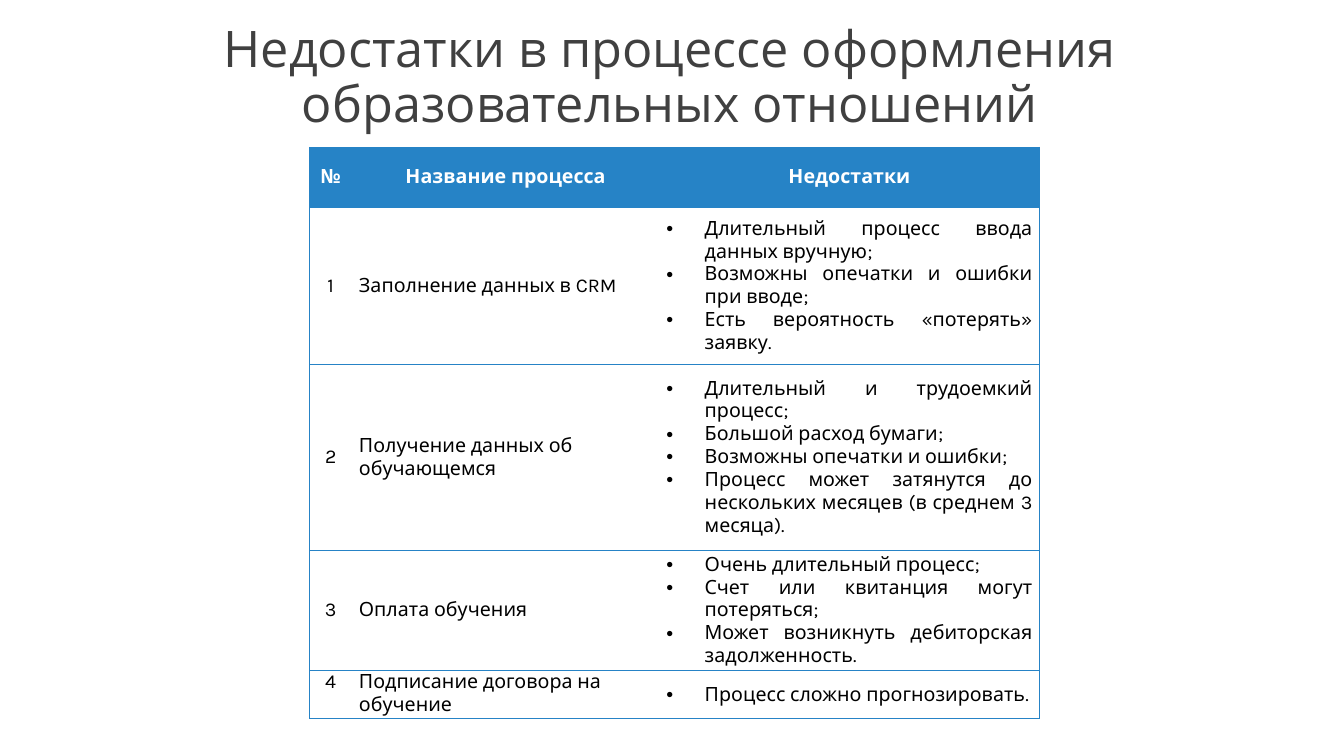
import lxml.etree
import pptx
import pptx.dml.color
import pptx.enum.text
import pptx.oxml.ns
import pptx.util

Inches = pptx.util.Inches
ALIGN = pptx.enum.text.PP_ALIGN
ANCHOR = pptx.enum.text.MSO_ANCHOR

BLUE = "2683C6"
TITLE = "Недостатки в процессе оформления образовательных отношений"
HEADINGS = ["№", "Название процесса", "Недостатки"]
PROCESSES = [
    ("Заполнение данных в CRM", [
        "Длительный процесс ввода данных вручную;",
        "Возможны опечатки и ошибки при вводе;",
        "Есть вероятность «потерять» заявку."]),
    ("Получение данных об обучающемся", [
        "Длительный и трудоемкий процесс;",
        "Большой расход бумаги;",
        "Возможны опечатки и ошибки;",
        "Процесс может затянутся до нескольких месяцев (в среднем 3 месяца)."]),
    ("Оплата обучения", [
        "Очень длительный процесс;",
        "Счет или квитанция могут потеряться;",
        "Может возникнуть дебиторская задолженность."]),
    ("Подписание договора на обучение", ["Процесс сложно прогнозировать."]),
]
COLUMN_WIDTHS = [0.42, 3.05, 3.77]
ROW_HEIGHTS = [0.6, 1.55, 1.85, 1.19, 0.48]


def color(hex_string):
    return pptx.dml.color.RGBColor.from_string(hex_string)


def format_text(para, font_name, size, hex_color, bold=False):
    for span in para.runs:
        span.font.name = font_name
        span.font.size = pptx.util.Pt(size)
        span.font.bold = bold
        span.font.color.rgb = color(hex_color)


def add_child(parent, tag, **attributes):
    return lxml.etree.SubElement(parent, pptx.oxml.ns.qn(tag), attributes)


def set_borders(cell, visible_sides):
    properties = cell._tc.get_or_add_tcPr()
    for side in "LRTB":
        line = add_child(properties, f"a:ln{side}", w=str(pptx.util.Pt(0.5)))
        if side in visible_sides:
            add_child(add_child(line, "a:solidFill"), "a:srgbClr", val=BLUE)
        else:
            add_child(line, "a:noFill")


def add_bullet(para):
    properties = para._p.get_or_add_pPr()
    properties.set("marL", str(Inches(0.38)))
    properties.set("indent", str(Inches(-0.38)))
    add_child(properties, "a:buFont", typeface="Arial")
    add_child(properties, "a:buChar", char="•")


def fill_cell(cell, lines, align, sides, header=False, bullets=False):
    set_borders(cell, sides)
    if header:
        cell.fill.solid()
        cell.fill.fore_color.rgb = color(BLUE)
    else:
        cell.fill.background()
    cell.margin_left = cell.margin_right = Inches(0.07)
    cell.margin_top = cell.margin_bottom = 0
    cell.vertical_anchor = ANCHOR.MIDDLE
    cell.text_frame.text = "\n".join(lines)
    for para in cell.text_frame.paragraphs:
        para.alignment = align
        format_text(para, "Karla", 14, "FFFFFF" if header else "000000", header)
        if bullets:
            add_bullet(para)


def add_title(slide):
    title = slide.shapes.title
    title.left, title.top = Inches(0.87), Inches(0.13)
    title.width, title.height = Inches(11.55), Inches(1.24)
    frame = title.text_frame
    frame.text = TITLE
    frame.auto_size = pptx.enum.text.MSO_AUTO_SIZE.NONE
    frame.vertical_anchor = ANCHOR.BOTTOM
    para = frame.paragraphs[0]
    para.alignment = ALIGN.CENTER
    para.line_spacing = 0.9
    format_text(para, "Open Sans", 36, "404040")


def add_process_table(slide):
    table = slide.shapes.add_table(
        len(ROW_HEIGHTS), len(COLUMN_WIDTHS), Inches(3.07), Inches(1.46),
        Inches(sum(COLUMN_WIDTHS)), Inches(sum(ROW_HEIGHTS))).table
    table.horz_banding = False
    for column, width in zip(table.columns, COLUMN_WIDTHS):
        column.width = Inches(width)
    for row, height in zip(table.rows, ROW_HEIGHTS):
        row.height = Inches(height)

    column_sides = ["LTB", "TB", "RTB"]
    for index, heading in enumerate(HEADINGS):
        fill_cell(table.cell(0, index), [heading], ALIGN.CENTER,
                  column_sides[index], header=True)
    for number, (name, flaws) in enumerate(PROCESSES, start=1):
        contents = [([str(number)], ALIGN.CENTER), ([name], ALIGN.LEFT),
                    (flaws, ALIGN.JUSTIFY)]
        for index, (lines, align) in enumerate(contents):
            fill_cell(table.cell(number, index), lines, align,
                      column_sides[index], bullets=index == 2)
    for index in (0, 1):
        table.cell(len(PROCESSES), index).vertical_anchor = ANCHOR.TOP


def main():
    deck = pptx.Presentation()
    deck.slide_width, deck.slide_height = Inches(13.33), Inches(7.5)
    slide = deck.slides.add_slide(deck.slide_layouts[5])
    add_title(slide)
    add_process_table(slide)
    deck.save("out.pptx")


if __name__ == "__main__":
    main()
